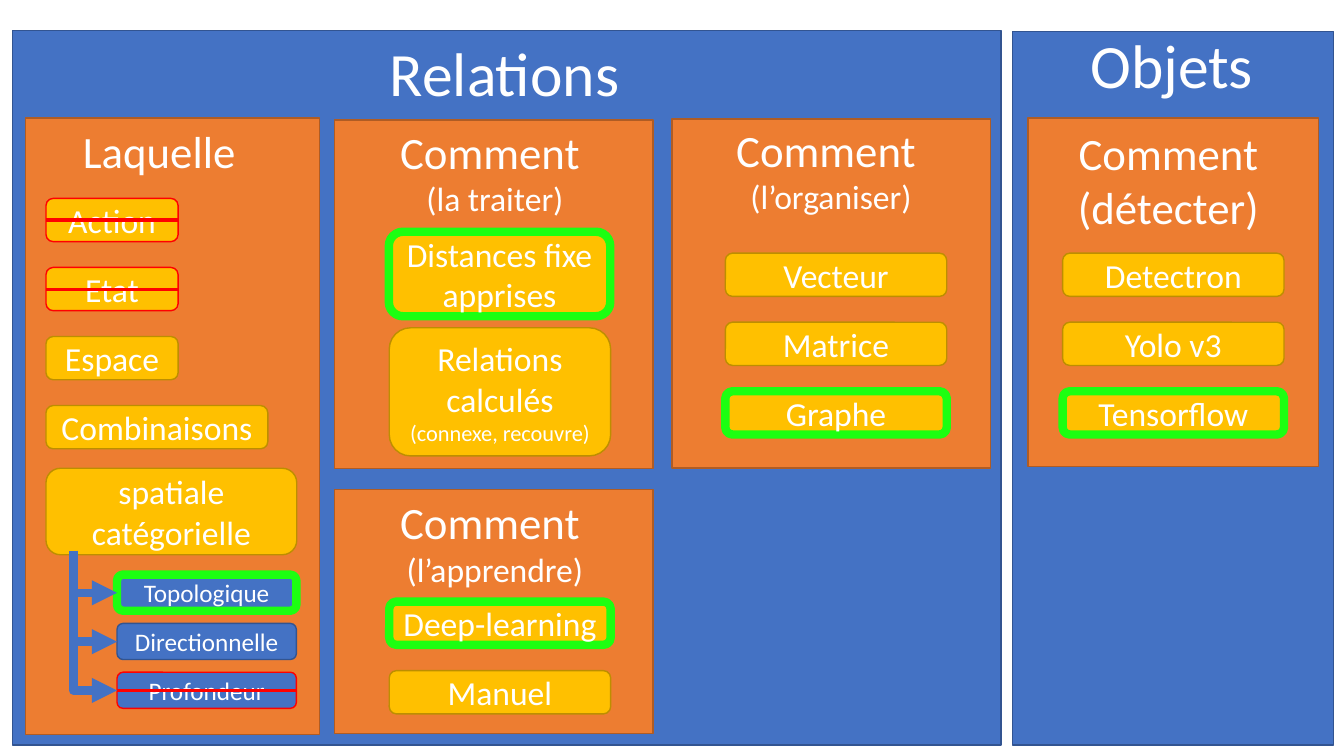
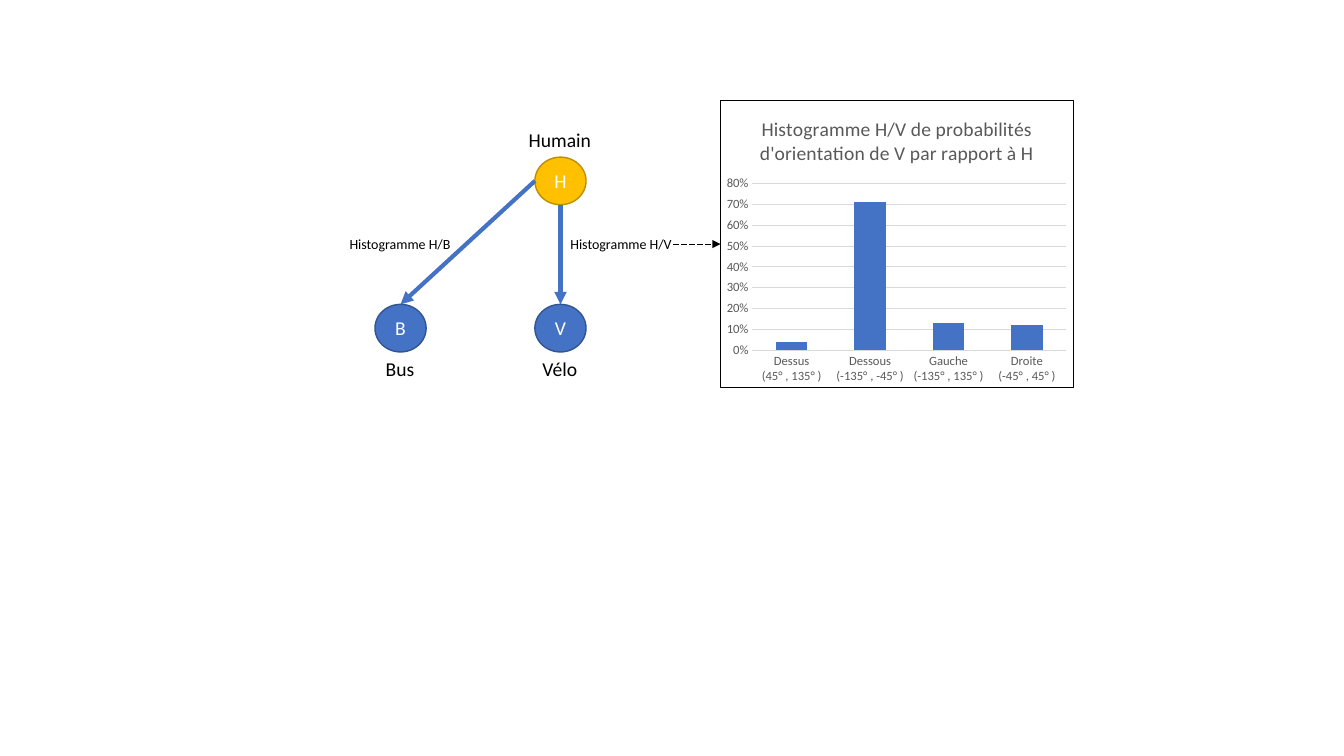
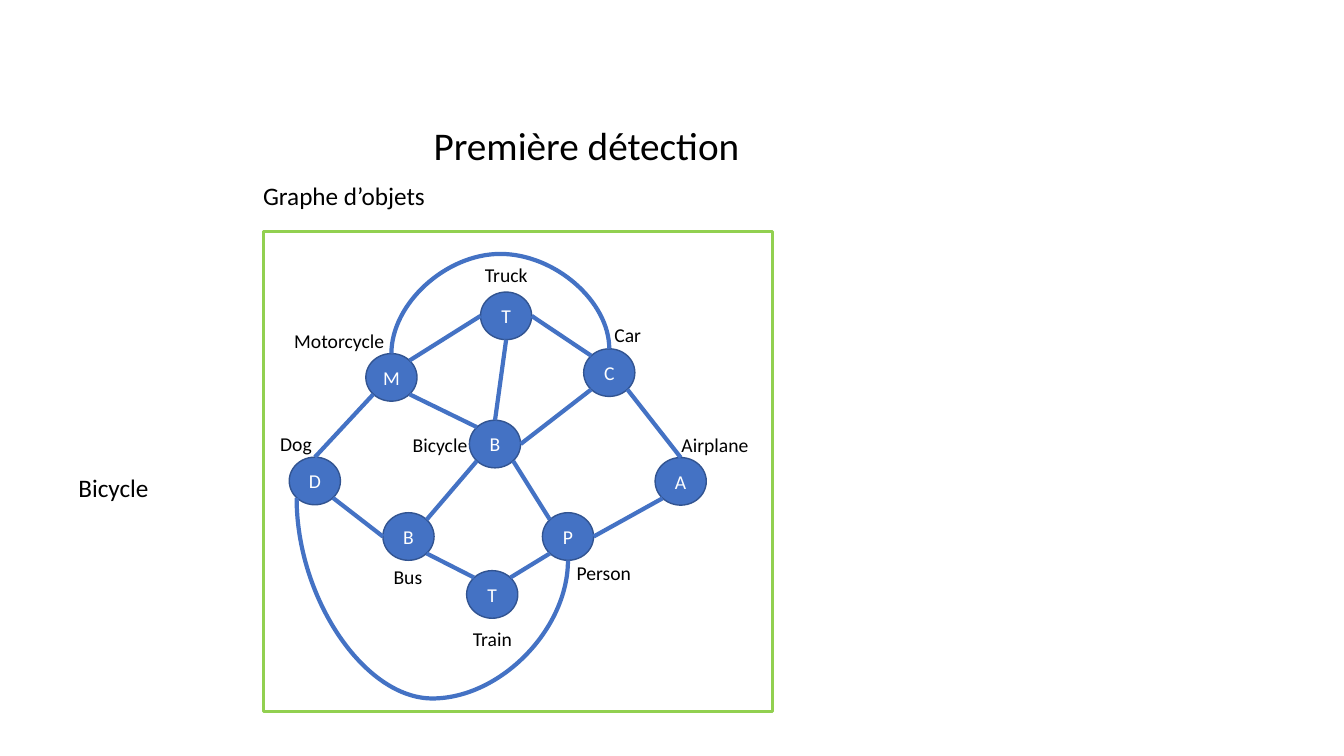
"""Build three slides: a map of choices, a histogram graph and an object graph."""
from lxml.etree import SubElement as Sub
from pptx import Presentation
from pptx.chart.data import CategoryChartData as Data
from pptx.dml.color import RGBColor as Rgb
from pptx.enum.chart import XL_CHART_TYPE as Kind, XL_TICK_MARK as Tick
from pptx.enum.dml import MSO_LINE as Dash
from pptx.enum.shapes import MSO_CONNECTOR as Link, MSO_SHAPE as Form
from pptx.enum.text import MSO_ANCHOR as Anchor, PP_ALIGN as Align
from pptx.oxml import parse_xml
from pptx.oxml.ns import nsdecls, qn
from pptx.util import Cm, Pt

HUE = {
    "blue": "4472C4", "orange": "ED7D31", "gold": "FFC000", "white": "FFFFFF",
    "black": "000000", "gray": "595959", "pale": "D9D9D9", "red": "FF0000",
    "green": "1CFF11", "lime": "92D050",
}
RIM = {"blue": "325491", "orange": "AF5C24", "gold": "BD8E00"}
FONT = "Calibri"
STEP = 1.74
NODE = (1.29, 1.2)
SITE = {
    "N": (0, -1), "NE": (0.71, -0.71), "E": (1, 0), "SE": (0.71, 0.71),
    "S": (0, 1), "SW": (-0.71, 0.71), "W": (-1, 0), "NW": (-0.71, -0.71),
}


def rgb(name):
    return Rgb.from_string(HUE.get(name, name))


def style(font, size, color):
    font.name, font.size = FONT, Pt(size)
    font.color.rgb = rgb(color)


def write(frame, text, sizes=(24,), color="white", wrap=True, anchor=Anchor.TOP):
    frame.word_wrap, frame.vertical_anchor = wrap, anchor
    for i, part in enumerate(text.split("\n")):
        para = frame.add_paragraph() if i else frame.paragraphs[0]
        para.alignment = Align.CENTER
        run = para.add_run()
        run.text = part
        style(run.font, sizes[min(i, len(sizes) - 1)], color)


class Deck:
    def __init__(self):
        self.show = Presentation()
        self.show.slide_width, self.show.slide_height = Cm(33.87), Cm(19.05)

    def page(self):
        self.shapes = self.show.slides.add_slide(self.show.slide_layouts[6]).shapes

    def box(self, x, y, w, h, fill=None, rim=None, width=1, form=Form.RECTANGLE):
        shape = self.shapes.add_shape(form, Cm(x), Cm(y), Cm(w), Cm(h))
        shape.shadow.inherit = False
        if fill:
            shape.fill.solid()
            shape.fill.fore_color.rgb = rgb(fill)
        else:
            shape.fill.background()
        shape.line.color.rgb = rgb(rim or RIM[fill])
        shape.line.width = Pt(width)
        return shape

    def head(self, text, x, y, w, h, sizes=(32, 24)):
        area = self.shapes.add_textbox(Cm(x), Cm(y), Cm(w), Cm(h))
        write(area.text_frame, text, sizes=sizes)

    def label(self, text, mid, y, size=14, color="black"):
        w, h = len(text) * size * 0.018 + 0.75, size * 0.043 + 0.25
        area = self.shapes.add_textbox(Cm(mid - w / 2), Cm(y), Cm(w), Cm(h))
        write(area.text_frame, text, sizes=(size,), color=color, wrap=False)

    def chip(self, text, x, y, w, h=1.09, mark=None, fill="gold", sizes=(24,)):
        rim = {"keep": "green", "drop": "red"}.get(mark)
        width = 6 if mark == "keep" else 1
        shape = self.box(x, y, w, h, fill, rim, width, Form.ROUNDED_RECTANGLE)
        write(shape.text_frame, text, sizes=sizes, anchor=Anchor.MIDDLE)
        if mark == "drop":
            bar = self.line((x, y + h / 2), (x + w, y + h / 2), "red", 2.25)
            bar.begin_connect(shape, 1)
            bar.end_connect(shape, 3)

    def stack(self, chips, x, y, w, step=STEP, **look):
        for i, (text, mark) in enumerate(chips):
            self.chip(text, x, y + i * step, w, mark=mark, **look)

    def node(self, name, x, y, mid, top, fill="blue"):
        shape = self.box(x, y, *NODE, fill=fill, form=Form.OVAL)
        write(shape.text_frame, name[0], sizes=(14,), anchor=Anchor.MIDDLE)
        self.label(name, mid, top)

    def line(self, start, end, color="blue", width=3, arrow=False, dash=None,
             kind=Link.STRAIGHT):
        ends = [Cm(v) for v in (*start, *end)]
        link = self.shapes.add_connector(kind, *ends)
        link.line.color.rgb = rgb(color)
        link.line.width = Pt(width)
        if dash:
            link.line.dash_style = dash
        props = link._element.spPr
        if arrow:
            Sub(props.find(qn("a:ln")), qn("a:tailEnd"), type="triangle")
        Sub(props, qn("a:effectLst"))
        return link

    def turn(self, start, end, rot, form, level=None, **look):
        (x1, y1), (x2, y2) = start, end
        link = self.line(start, end, **look)
        w, h = abs(y2 - y1), abs(x2 - x1)
        link.left, link.top = Cm((x1 + x2 - w) / 2), Cm((y1 + y2 - h) / 2)
        link.width, link.height = Cm(w), Cm(h)
        props = link._element.spPr
        frame, shape = props.find(qn("a:xfrm")), props.find(qn("a:prstGeom"))
        frame.set("rot", str(rot * 60000))
        frame.set("flipH", str(int((y2 > y1) != (rot == 90))))
        frame.set("flipV", str(int((x2 > x1) == (rot == 90))))
        shape.set("prst", form)
        if level is not None:
            bend = round((level - y1) / (y2 - y1) * 100000)
            Sub(shape.find(qn("a:avLst")), qn("a:gd"), name="adj1", fmla=f"val {bend}")

    def chart(self, title, cats, vals, x, y, w, h):
        data = Data(number_format="0%")
        data.categories = cats
        data.add_series("Series 1", vals)
        chart = self.shapes.add_chart(
            Kind.COLUMN_STACKED, Cm(x), Cm(y), Cm(w), Cm(h), data).chart
        style(chart.font, 10, "black")
        chart.has_legend = False
        chart.has_title = True
        para = chart.chart_title.text_frame.paragraphs[0]
        run = para.add_run()
        run.text = title
        style(run.font, 14, "gray")
        run.font.bold = False
        plot = chart.plots[0]
        plot.gap_width, plot.overlap, plot.vary_by_categories = 150, 100, False
        fill = plot.series[0].format.fill
        fill.solid()
        fill.fore_color.rgb = rgb("blue")
        for axis in (chart.category_axis, chart.value_axis):
            axis.major_tick_mark = axis.minor_tick_mark = Tick.NONE
            style(axis.tick_labels.font, 9, "gray")
        side = chart.value_axis
        side.minimum_scale, side.maximum_scale, side.major_unit = 0, 0.8, 0.1
        side.tick_labels.number_format = "0%"
        side.tick_labels.number_format_is_linked = False
        side.format.line.fill.background()
        for rule in (side.major_gridlines, chart.category_axis):
            rule.format.line.color.rgb = rgb("pale")
            rule.format.line.width = Pt(0.75)
        root = chart._chartSpace.find(qn("c:chart"))
        root.addnext(parse_xml(
            f'<c:spPr {nsdecls("c", "a")}><a:solidFill><a:srgbClr val="{HUE["white"]}"/>'
            f'</a:solidFill><a:ln w="9525"><a:solidFill><a:srgbClr val="{HUE["black"]}"/>'
            '</a:solidFill></a:ln></c:spPr>'))
        area = root.find(qn("c:plotArea"))
        for old in area.findall(qn("c:layout")):
            area.remove(old)
        spots = "".join(f'<c:{k} val="{v}"/>' for k, v in (
            ("layoutTarget", "inner"), ("xMode", "edge"), ("yMode", "edge"),
            ("x", 0.09), ("y", 0.29), ("w", 0.89), ("h", 0.58)))
        area.insert(0, parse_xml(
            f'<c:layout {nsdecls("c")}><c:manualLayout>{spots}</c:manualLayout></c:layout>'))


def port(node, site):
    return tuple(node[i] + NODE[i] / 2 * (1 + SITE[site][i]) for i in (0, 1))


def choices(deck):
    deck.page()
    deck.box(25.51, 0.79, 8.1, 17.98, "blue")
    deck.box(0.31, 0.77, 24.92, 18, "blue")
    deck.label("Relations", 12.72, 0.76, 44, "white")
    deck.label("Objets", 29.53, 0.56, 44, "white")

    deck.box(0.64, 2.97, 7.42, 15.54, "orange")
    deck.head("Laquelle", 0, 3, 8.03, 1.63)
    deck.stack([("Action", "drop"), ("Etat", "drop"), ("Espace", None)], 1.16, 5, 3.33)
    deck.chip("Combinaisons", 1.16, 5 + 3 * STEP, 5.59)
    deck.chip("spatiale catégorielle", 1.16, 11.8, 6.32, 2.18)
    kinds = [("Topologique", "keep"), ("Directionnelle", None), ("Profondeur", "drop")]
    deck.stack(kinds, 2.95, 14.48, 4.52, 1.23, h=0.91, fill="blue", sizes=(18,))
    for i in range(3):
        deck.turn((1.85, 13.88), (2.95, 14.94 + i * 1.23), 270, "bentConnector2",
                  width=6, arrow=True, kind=Link.ELBOW)

    deck.box(8.43, 3.02, 8.03, 8.79, "orange")
    deck.head("Comment \n(la traiter)", 8.46, 3.01, 8.03, 2.64)
    deck.chip("Distances fixe apprises", 9.8, 5.84, 5.58, 2.13, "keep")
    deck.chip("Relations calculés\n(connexe, recouvre)", 9.81, 8.26, 5.58, 3.23, sizes=(24, 16))

    deck.box(16.94, 3, 8.03, 8.79, "orange")
    deck.head("Comment \n(l’organiser)", 16.93, 2.96, 8.03, 2.64)
    deck.stack([("Vecteur", None), ("Matrice", None), ("Graphe", "keep")], 18.28, 6.38, 5.58)

    deck.box(8.43, 12.34, 8.03, 6.15, "orange")
    deck.head("Comment \n(l’apprendre)", 8.46, 12.34, 8.03, 2.64)
    deck.stack([("Deep-learning", "keep"), ("Manuel", None)], 9.81, 15.16, 5.58)

    deck.box(25.91, 2.97, 7.32, 8.79, "orange")
    deck.head("Comment (détecter)", 25.43, 3.05, 8.03, 3)
    tools = [("Detectron", None), ("Yolo v3", None), ("Tensorflow", "keep")]
    deck.stack(tools, 26.78, 6.38, 5.58)


def odds(deck):
    deck.page()
    human, bike, bus = (13.48, 3.96), (13.48, 7.67), (9.45, 7.67)
    deck.node("Humain", *human, 14.11, 3.1, "gold")
    deck.node("Vélo", *bike, 14.11, 8.86)
    deck.node("Bus", *bus, 10.08, 8.86)
    deck.line(port(human, "S"), port(bike, "N"), arrow=True)
    deck.line(port(human, "W"), port(bus, "N"), arrow=True)
    deck.label("Histogramme H/V", 15.65, 5.82, 10)
    deck.label("Histogramme H/B", 10.08, 5.82, 10)
    deck.chart(
        "Histogramme H/V de probabilités d'orientation de V par rapport à H",
        ["Dessus\n(45° , 135° )", "Dessous\n(-135° , -45° )",
         "Gauche\n(-135° , 135° )", "Droite\n(-45° , 45° )"],
        [0.04, 0.71, 0.13, 0.12], 18.15, 2.52, 8.91, 7.26)
    deck.line((16.97, 6.15), (18.16, 6.15), "black", 0.5, True, Dash.LONG_DASH)


def graph(deck):
    deck.page()
    deck.label("Première détection", 14.78, 2.93, 28)
    deck.label("Graphe d’objets", 8.67, 4.42, 18)
    deck.label("Bicycle", 2.86, 11.78, 18)
    deck.box(6.65, 5.84, 12.83, 12.09, rim="lime", width=2.25)
    nodes = {
        "Person": (13.67, 12.92, 15.22, 14), "Bus": (9.65, 12.92, 10.28, 14.12),
        "Bicycle": (11.83, 10.59, 11.09, 10.78), "Car": (14.71, 8.79, 15.82, 8),
        "Motorcycle": (9.22, 8.91, 8.55, 8.17), "Airplane": (16.51, 11.53, 18.02, 10.78),
        "Train": (11.76, 14.38, 12.41, 15.67), "Truck": (12.11, 7.36, 12.76, 6.5),
        "Dog": (7.29, 11.52, 7.46, 10.77),
    }
    for name, spot in nodes.items():
        deck.node(name, *spot)
    edges = [
        "Truck E Car NW", "Car SE Airplane N", "Airplane SW Person E",
        "Person SW Train NE", "Train NW Bus SE", "Bus W Dog SE",
        "Dog N Motorcycle SW", "Motorcycle NE Truck W", "Bicycle E Car SW",
        "Person NW Bicycle SE", "Bus NE Bicycle SW", "Motorcycle SE Bicycle NW",
        "Truck S Bicycle N",
    ]
    for edge in edges:
        a, out, b, into = edge.split()
        deck.line(port(nodes[a], out), port(nodes[b], into))
    for a, out, b, into, level in (("Person", "S", "Dog", "SW", 17.6),
                                   ("Motorcycle", "N", "Car", "N", 6.4)):
        deck.turn(port(nodes[a], out), port(nodes[b], into), 90, "curvedConnector3",
                  level, kind=Link.CURVE)


def main():
    deck = Deck()
    for draw in (choices, odds, graph):
        draw(deck)
    deck.show.save("out.pptx")


if __name__ == "__main__":
    main()
